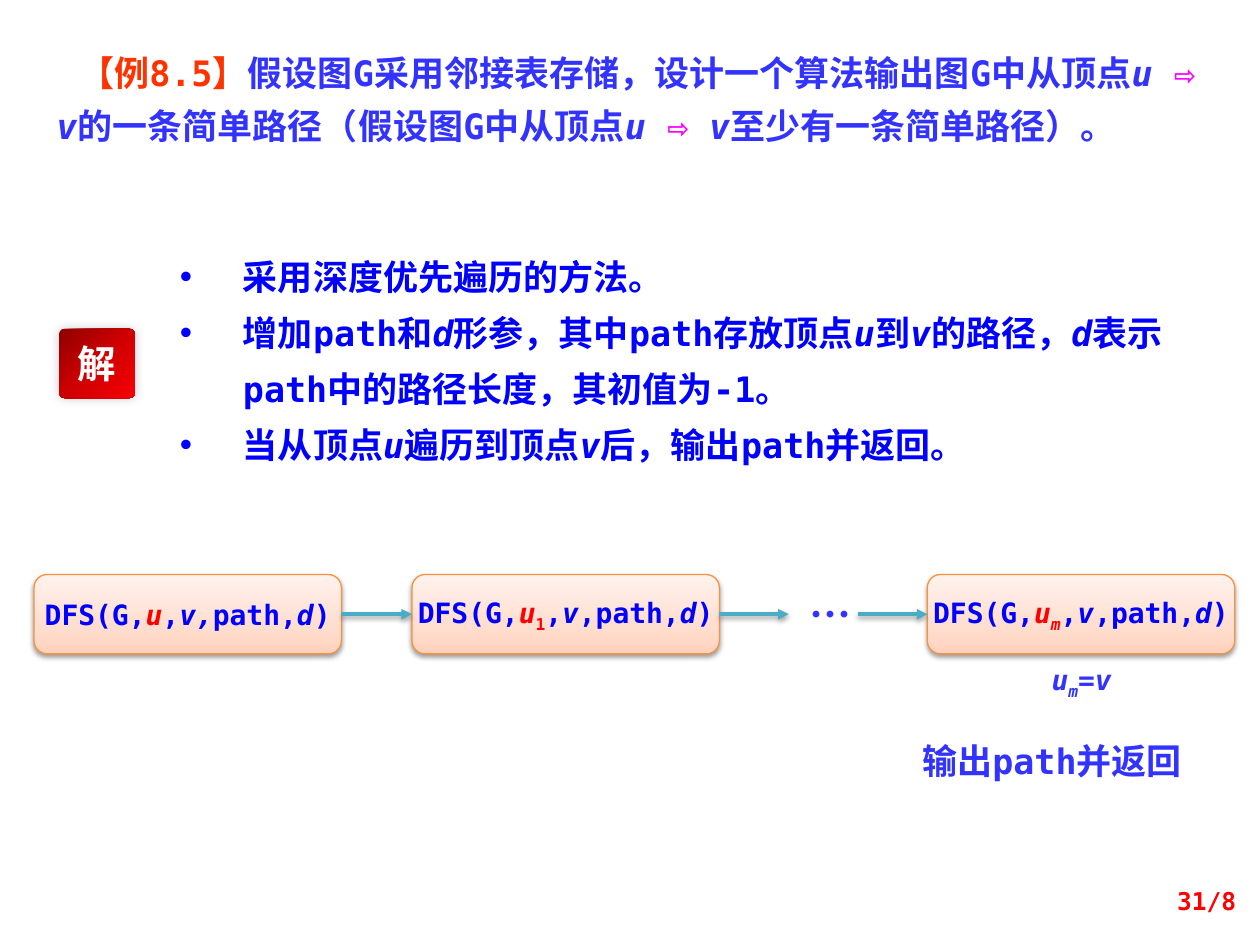
"""Build the slide on printing a simple path from u to v by depth-first search."""
from copy import deepcopy

from pptx import Presentation
from pptx.dml.color import RGBColor
from pptx.enum.shapes import MSO_CONNECTOR as Connector, MSO_SHAPE as Shape
from pptx.enum.text import MSO_ANCHOR as Anchor, PP_ALIGN as Align
from pptx.oxml import parse_xml
from pptx.oxml.ns import nsdecls
from pptx.util import Inches, Pt

MONO, CJK = "DejaVu Sans Mono", "Noto Sans CJK SC"
WHITE = RGBColor(0xFF, 0xFF, 0xFF)
BLUE = RGBColor(0x00, 0x00, 0xFF)
VIOLET = RGBColor(0x33, 0x33, 0xFF)
RED = RGBColor(0xFF, 0x00, 0x00)
ORANGE = RGBColor(0xFF, 0x33, 0x00)
MAGENTA = RGBColor(0xFF, 0x00, 0xFF)
TEAL = RGBColor(0x4B, 0xAC, 0xC6)
BORDER = RGBColor(0xF6, 0x92, 0x40)
PEACH = [(0, RGBColor(0xFF, 0xD2, 0xBD)), (0.35, RGBColor(0xFF, 0xDE, 0xD0)), (1, RGBColor(0xFF, 0xF2, 0xED))]
CRIMSON = [(0, RGBColor(0x8F, 0x00, 0x00)), (0.5, RGBColor(0xCF, 0x00, 0x01)), (1, RGBColor(0xF6, 0x00, 0x04))]
MARKS = {"R": RED, "O": ORANGE, "M": MAGENTA}

deck = Presentation()
deck.slide_width, deck.slide_height = Inches(10), Inches(7.5)
COLUMN, ROW = deck.slide_width / 100, deck.slide_height / 100
page = deck.slides.add_slide(deck.slide_layouts[6])
shapes = page.shapes


def grid(left, top, width, height):
    """Turn columns and rows into slide lengths."""
    return [round(left * COLUMN), round(top * ROW), round(width * COLUMN), round(height * ROW)]


def write(box, *paragraphs, size=20, color=VIOLET, font=MONO, align=Align.LEFT, anchor=Anchor.TOP,
          wrap=True, spacing=None, first=0, bullet=False, margin=None):
    """Write paragraphs of (text, marks) spans: i italic, s subscript, capitals for colours."""
    frame = box.text_frame
    frame.word_wrap, frame.vertical_anchor = wrap, anchor
    if margin is not None:
        frame.margin_left = frame.margin_right = frame.margin_top = frame.margin_bottom = margin
    for number, spans in enumerate(paragraphs):
        para = frame.add_paragraph() if number else frame.paragraphs[0]
        para.alignment = align
        if spacing:
            para.line_spacing = Pt(spacing)
        layout = para._p.get_or_add_pPr()
        layout.set("indent", str(Inches(-0.5 if bullet else first)))
        if bullet:
            layout.set("marL", str(Inches(0.5)))
            layout.append(parse_xml(f'<a:buFont {nsdecls("a")} typeface="Arial"/>'))
            layout.append(parse_xml(f'<a:buChar {nsdecls("a")} char="•"/>'))
        for text, marks in spans:
            span = para.add_run()
            span.text = text
            span.font.size, span.font.bold, span.font.italic = Pt(size), True, "i" in marks
            span.font.color.rgb = next((MARKS[mark] for mark in marks if mark in MARKS), color)
            span.font.name = font
            details = span._r.get_or_add_rPr()
            details.append(parse_xml(f'<a:ea {nsdecls("a")} typeface="{CJK}"/>'))
            if "s" in marks:
                details.set("baseline", "-25000")


path_spans = [("u ", "i"), ("⇨ ", "M"), ("v", "i")]
statement = shapes.add_textbox(*grid(3.5, 3.73, 93.3, 12.53))
write(statement,
      [("【例8.5】", "O"), ("假设图G采用邻接表存储，设计一个算法输出图G中从顶点", ""), *path_spans,
       ("的一条简单路径（假设图G中从顶点", ""), *path_spans, ("至少有一条简单路径）。", "")],
      spacing=30, first=0.18)

method = shapes.add_textbox(*grid(13.3, 24.93, 81.3, 25.33))
write(method,
      [("采用深度优先遍历的方法。", "")],
      [("增加path和", ""), ("d", "i"), ("形参，其中path存放顶点", ""), ("u", "i"), ("到", ""), ("v", "i"),
       ("的路径，", ""), ("d", "i"), ("表示path中的路径长度，其初值为-1。", "")],
      [("当从顶点", ""), ("u", "i"), ("遍历到顶点", ""), ("v", "i"), ("后，输出path并返回。", "")],
      color=BLUE, spacing=32, bullet=True)

call_arguments = [
    (2.7, [("u", "iR"), (",", ""), ("v,", "i"), ("path,", "")]),
    (32.7, [("u", "iR"), ("1", "sR"), (",", ""), ("v", "i"), (",path,", "")]),
    (73.6, [("u", "iR"), ("m", "isR"), (",", ""), ("v", "i"), (",path,", "")]),
]
calls = []
for left, arguments in call_arguments:
    call = shapes.add_shape(Shape.ROUNDED_RECTANGLE, *grid(left, 60.8, 24.4, 8.4))
    call.line.color.rgb, call.line.width = BORDER, Pt(0.75)
    write(call, [("DFS(G,", ""), *arguments, ("d", "i"), (")", "")], size=16, color=BLUE,
          align=Align.CENTER, anchor=Anchor.MIDDLE, wrap=False)
    calls.append(call)

arrows = []
for start, end, source, target in [(27.1, 32.7, calls[0], calls[1]), (57.1, 62.6, calls[1], None),
                                   (68.1, 73.6, None, calls[2])]:
    left, top, right, bottom = grid(start, 65, end, 65)
    arrow = shapes.add_connector(Connector.STRAIGHT, left, top, right, bottom)
    if source:
        arrow.begin_connect(source, 3)
    if target:
        arrow.end_connect(target, 1)
    arrow.line.color.rgb, arrow.line.width = TEAL, Pt(2)
    arrow.line._get_or_add_ln().append(parse_xml(f'<a:tailEnd {nsdecls("a")} type="triangle"/>'))
    arrows.append(arrow)

ellipsis = shapes.add_textbox(*grid(62.8, 62.27, 6.3, 5.33))
write(ellipsis, [("…", "")], size=24, font=CJK, align=Align.CENTER, margin=0)
condition = shapes.add_textbox(*grid(81.5, 70.13, 8.7, 3.6))
write(condition, [("u", "i"), ("m", "is"), ("=", ""), ("v", "i")], size=16, align=Align.CENTER, margin=0)
result = shapes.add_textbox(*grid(70.5, 77.6, 26, 5.87))
write(result, [("输出path并返回", "")], align=Align.CENTER)
page_number = shapes.add_textbox(*grid(75.8, 92.67, 23.3, 5.33))
write(page_number, [("31/8", "")], size=14, color=RED, align=Align.RIGHT, anchor=Anchor.MIDDLE)

badge = shapes.add_shape(Shape.ROUNDED_RECTANGLE, *grid(4.7, 34.8, 6, 7.33))
badge.adjustments[0] = 0.08
badge.line.fill.background()
write(badge, [("解", "")], size=22, color=WHITE, font=CJK, align=Align.CENTER, anchor=Anchor.MIDDLE, wrap=False)

for shape, colors, angle in [*((call, PEACH, 90) for call in calls), (badge, CRIMSON, 315)]:
    shape.fill.gradient()
    shape.fill.gradient_angle = angle
    last_stop = shape._element.spPr.xpath(".//a:gs")[-1]
    last_stop.addprevious(deepcopy(last_stop))
    for stop, (position, color) in zip(shape.fill.gradient_stops, colors):
        stop.position, stop.color.rgb = position, color

for shape, opacity, blur, distance, direction in [*((item, 38, 3.1, 1.6, 90) for item in calls + arrows),
                                                  (badge, 20, 6, 0, 225)]:
    shape._element.spPr.append(parse_xml(
        f'<a:effectLst {nsdecls("a")}><a:outerShdw blurRad="{Pt(blur)}" dist="{Pt(distance)}" '
        f'dir="{direction * 60000}" rotWithShape="0"><a:srgbClr val="000000">'
        f'<a:alpha val="{opacity * 1000}"/></a:srgbClr></a:outerShdw></a:effectLst>'))

deck.save("out.pptx")
